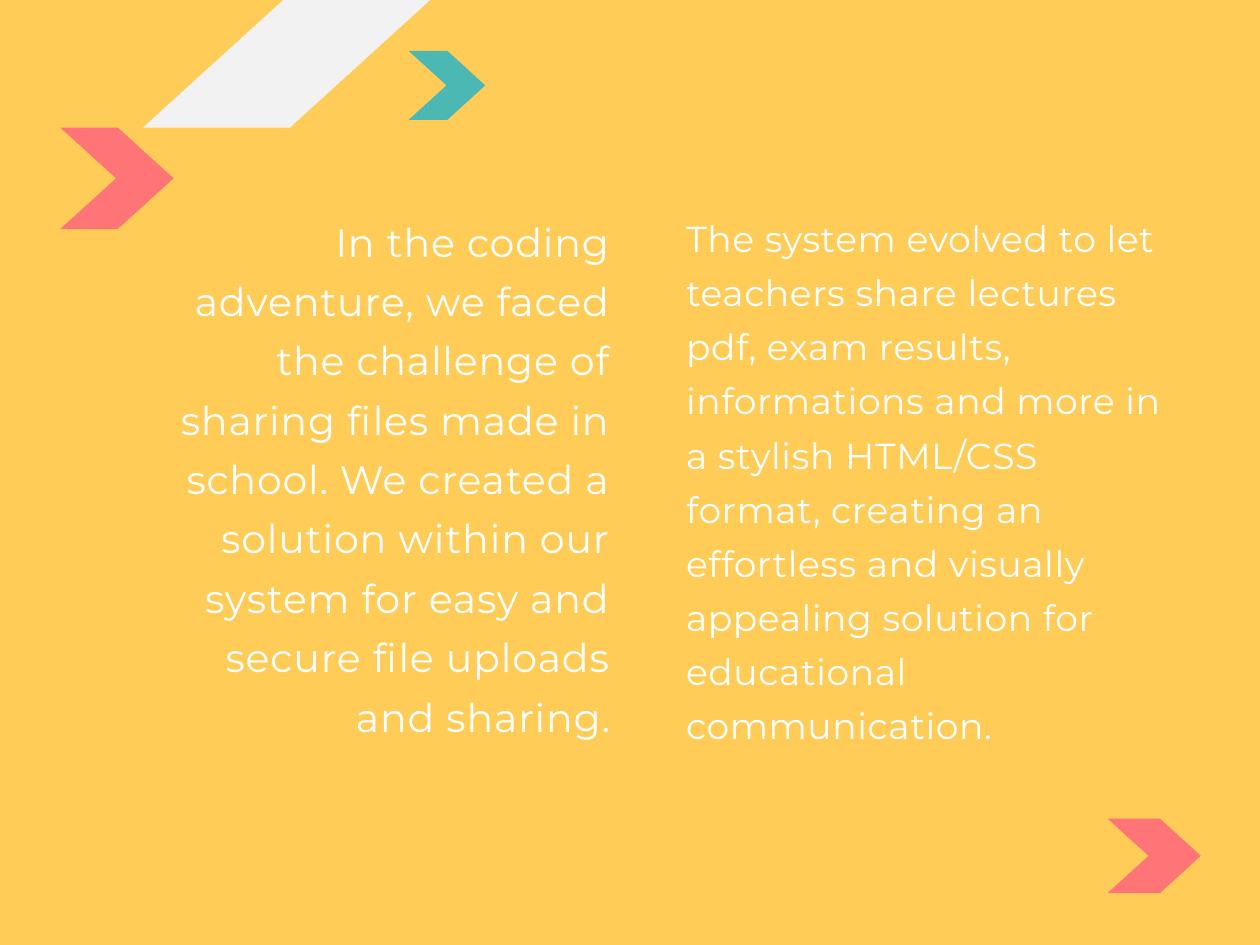
"""Build a two-column slide about a school file-sharing system."""
from dataclasses import dataclass

from lxml import etree
from pptx import Presentation
from pptx.dml.color import RGBColor
from pptx.enum.shapes import MSO_SHAPE
from pptx.enum.text import MSO_ANCHOR, MSO_AUTO_SIZE, PP_ALIGN
from pptx.oxml.ns import qn
from pptx.slide import Slide
from pptx.util import Inches, Pt

CHEVRON = MSO_SHAPE.CHEVRON
TOP = MSO_ANCHOR.TOP
FIT_SHAPE = MSO_AUTO_SIZE.SHAPE_TO_FIT_TEXT
LEFT, RIGHT = PP_ALIGN.LEFT, PP_ALIGN.RIGHT

YELLOW = RGBColor(0xFF, 0xCC, 0x58)
WHITE = RGBColor(0xFF, 0xFF, 0xFF)
LIGHT_GREY = RGBColor(0xF2, 0xF2, 0xF2)
CORAL = RGBColor(0xFF, 0x74, 0x77)
TEAL = RGBColor(0x4C, 0xB8, 0xB4)

SLIDE_WIDTH, SLIDE_HEIGHT = 10.67, 8
TWO_CONTENT = 3
POINT_DEPTH = 0.55
COLUMN_TOP = 1.74 / SLIDE_HEIGHT

CHALLENGE = (
    "In the coding adventure, we faced the challenge of sharing files made in "
    "school. We created a solution within our system for easy and secure file "
    "uploads and sharing."
)
EVOLUTION = (
    "The system evolved to let teachers share lectures pdf, exam results, "
    "informations and more in a stylish HTML/CSS format, creating an effortless "
    "and visually appealing solution for educational communication."
)


def apply(target, values):
    """Set every named attribute of the target."""
    for name, value in values.items():
        setattr(target, name, value)


@dataclass
class SlideBuilder:
    """Hold the style and the current slide; lengths are shares of its size."""

    slide: Slide
    font: str = "Montserrat"
    text_color: RGBColor = WHITE

    def background(self, color):
        """Fill the slide background."""
        fill = self.slide.background.fill
        fill.solid()
        fill.fore_color.rgb = color

    def box(self, left, top, width, height):
        """Turn shares of the slide into lengths."""
        return {
            "left": Inches(left * SLIDE_WIDTH),
            "top": Inches(top * SLIDE_HEIGHT),
            "width": Inches(width * SLIDE_WIDTH),
            "height": Inches(height * SLIDE_HEIGHT),
        }

    def body(self, index, text, area, align, size, leading, tracking):
        """Fill a body placeholder with one unbulleted paragraph."""
        column = self.slide.placeholders[index]
        apply(column, self.box(*area))
        frame = column.text_frame
        apply(frame, {
            "margin_left": 0, "margin_top": 0, "margin_right": 0, "margin_bottom": 0,
            "word_wrap": True, "vertical_anchor": TOP, "auto_size": FIT_SHAPE,
        })
        paragraph = frame.paragraphs[0]
        properties = paragraph._p.get_or_add_pPr()
        properties.set("marL", "0")
        properties.set("indent", "0")
        etree.SubElement(properties, qn("a:buNone"))
        apply(paragraph, {
            "alignment": align, "line_spacing": Pt(leading),
            "space_before": Pt(0), "space_after": Pt(0),
        })
        run = paragraph.add_run()
        run.text = text
        apply(run.font, {"name": self.font, "size": Pt(size)})
        run.font.color.rgb = self.text_color
        run._r.get_or_add_rPr().set("spc", str(round(tracking * 100)))

    def chevron(self, area, color):
        """Draw a flat chevron pointing right."""
        arrow = self.slide.shapes.add_shape(CHEVRON, **self.box(*area))
        arrow.adjustments[0] = POINT_DEPTH
        arrow.shadow.inherit = False
        arrow.fill.solid()
        arrow.fill.fore_color.rgb = color
        arrow.line.fill.background()


def main():
    """Compose and save the slide."""
    deck = Presentation()
    apply(deck, {"slide_width": Inches(SLIDE_WIDTH), "slide_height": Inches(SLIDE_HEIGHT)})
    slide = deck.slides.add_slide(deck.slide_layouts[TWO_CONTENT])
    unused_title = slide.shapes.title._element
    unused_title.getparent().remove(unused_title)

    builder = SlideBuilder(slide)
    builder.background(YELLOW)
    builder.body(1, CHALLENGE, (0.1134, COLUMN_TOP, 0.3711, 0.5025), RIGHT, 24.1, 36.2, 0.5)
    builder.body(2, EVOLUTION, (0.5445, COLUMN_TOP, 0.3805, 0.4588), LEFT, 22, 33, 0.4)
    for area, color in (
        ((0.1134, -0.1388, 0.2296, 0.2738), LIGHT_GREY),
        ((0.0478, 0.135, 0.09, 0.1075), CORAL),
        ((0.3243, 0.0538, 0.0609, 0.0731), TEAL),
        ((0.8791, 0.8663, 0.074, 0.0788), CORAL),
    ):
        builder.chevron(area, color)
    deck.save("out.pptx")


if __name__ == "__main__":
    main()
